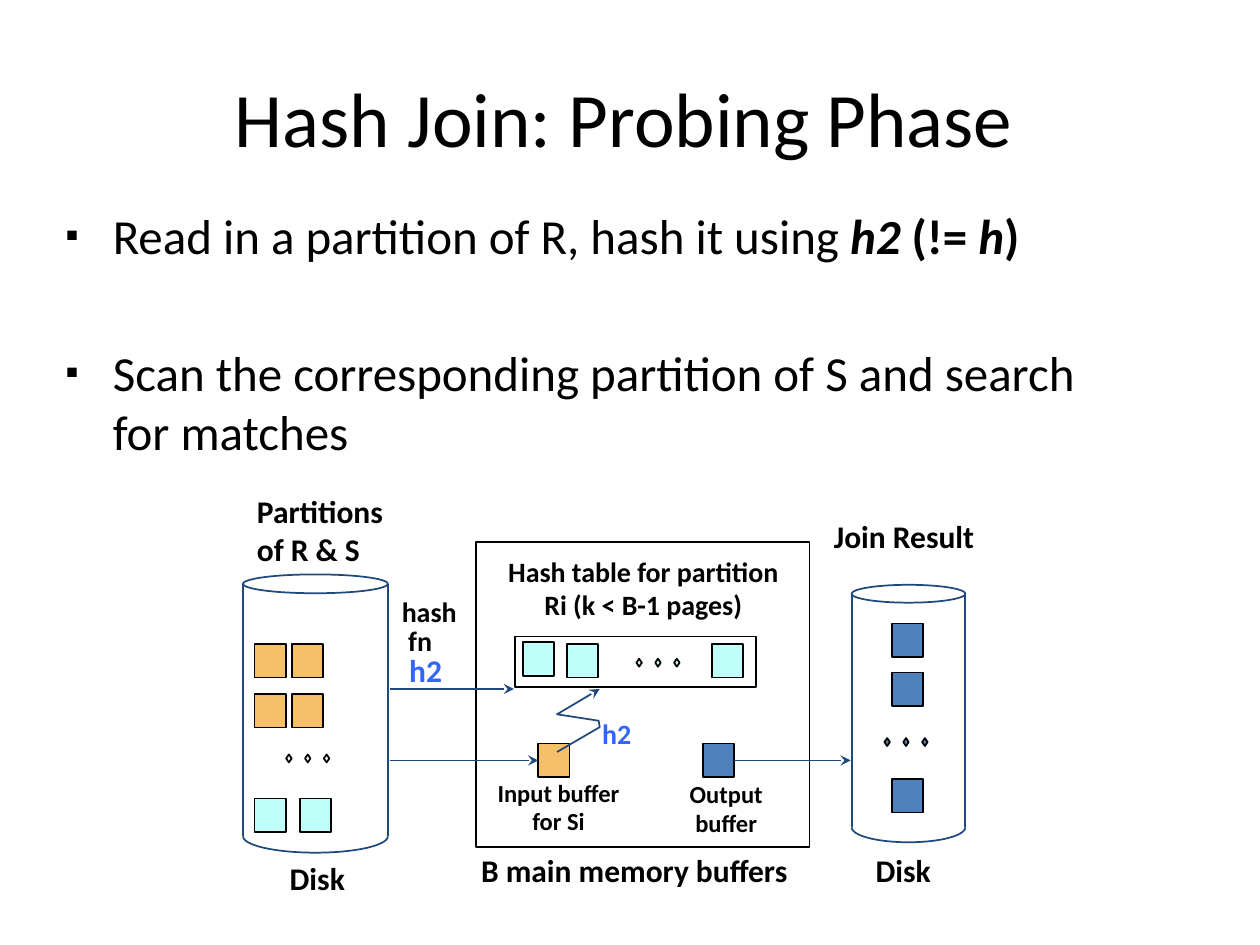
"""Build the slide on the probing phase of a hash join."""
from lxml.etree import SubElement
from pptx import Presentation
from pptx.dml.color import RGBColor
from pptx.enum.shapes import MSO_CONNECTOR as Link, MSO_SHAPE as Shape
from pptx.enum.text import MSO_ANCHOR as Anchor, MSO_AUTO_SIZE as Fit, PP_ALIGN as Align
from pptx.oxml.ns import qn
from pptx.util import Cm, Pt

FONT = "Calibri"
BLACK = RGBColor(0x00, 0x00, 0x00)
ORANGE = RGBColor(0xF6, 0xBF, 0x69)
CYAN = RGBColor(0xC0, 0xFE, 0xF9)
BLUE = RGBColor(0x4F, 0x81, 0xBD)
NAVY = RGBColor(0x1F, 0x49, 0x7D)
BRIGHT = RGBColor(0x33, 0x65, 0xFB)

deck = Presentation()
deck.slide_width, deck.slide_height = Cm(25.4), Cm(19.05)
page = deck.slides.add_slide(deck.slide_layouts[1])


def add_span(para, text, size, color=BLACK, bold=False, italic=False):
    span = para.add_run()
    span.text = text
    span.font.name, span.font.size = FONT, Pt(size)
    span.font.bold, span.font.italic = bold, italic
    span.font.color.rgb = color


def add_box(kind, left, top, width, height, fill=None, line=BLACK):
    box = page.shapes.add_shape(kind, Cm(left), Cm(top), Cm(width), Cm(height))
    box.shadow.inherit = False
    if fill is None:
        box.fill.background()
    else:
        box.fill.solid()
        box.fill.fore_color.rgb = fill
    box.line.color.rgb, box.line.width = line, Pt(1)
    return box


title = page.shapes.title
title.left, title.top, title.width, title.height = Cm(0.2), Cm(0.76), Cm(24.77), Cm(3.18)
title.text_frame.vertical_anchor = Anchor.MIDDLE
title.text_frame.paragraphs[0].alignment = Align.CENTER
add_span(title.text_frame.paragraphs[0], "Hash Join: Probing Phase", 44)

body = page.placeholders[1]
body.left, body.top, body.width, body.height = Cm(1.07), Cm(4.01), Cm(23.5), Cm(13.77)
body.text_frame.auto_size = Fit.NONE
read_step = body.text_frame.paragraphs[0]
scan_step = body.text_frame.add_paragraph()
for para, gap in ((read_step, 0), (scan_step, 45)):
    props = para._p.get_or_add_pPr()
    props.set("marL", str(Cm(0.95)))
    props.set("indent", str(-Cm(0.95)))
    SubElement(SubElement(props, qn("a:buClr")), qn("a:srgbClr"), val=str(BLACK))
    SubElement(props, qn("a:buSzPct"), val="75000")
    SubElement(props, qn("a:buFont"), typeface=FONT)
    SubElement(props, qn("a:buChar"), char="▪")
    para.space_before = Pt(gap)
add_span(read_step, "Read in a partition of R, hash it using ", 28)
for text, italic in (("h2", True), (" (!= ", False), ("h", True), (")", False)):
    add_span(read_step, text, 28, bold=True, italic=italic)
add_span(scan_step, "Scan the corresponding partition of S and search ", 28)
scan_step.add_line_break()
add_span(scan_step, "for matches", 28)

add_box(Shape.RECTANGLE, 9.6, 10.92, 6.72, 6.15)
add_box(Shape.RECTANGLE, 10.39, 12.83, 4.85, 1.02)

pages = [(left, top, ORANGE) for top in (12.98, 13.99) for left in (5.13, 5.88)]
pages += [(5.13, 16.1, CYAN), (6.05, 16.1, CYAN)]
pages += [(10.54, 12.95, CYAN), (11.43, 12.98, CYAN), (14.35, 12.98, CYAN)]
pages += [(17.98, top, BLUE) for top in (12.57, 13.56, 15.7)]
for left, top, fill in pages:
    add_box(Shape.RECTANGLE, left, top, 0.63, 0.68, fill)
input_buffer = add_box(Shape.RECTANGLE, 10.85, 14.99, 0.63, 0.68, ORANGE)
output_buffer = add_box(Shape.RECTANGLE, 14.17, 14.99, 0.63, 0.68, BLUE)

for left, top, fill in ((5.77, 15.21, None), (12.83, 13.28, CYAN), (17.83, 14.88, BLUE)):
    for step in range(3):
        add_box(Shape.DIAMOND, left + 0.38 * step, top, 0.11, 0.16, fill)

lines = []
for left, top, width, lid, bottom, depth in (
    (4.9, 11.58, 2.92, 0.38, 16.86, 0.33),
    (17.17, 11.79, 2.29, 0.36, 16.68, 0.3),
):
    add_box(Shape.OVAL, left, top, width, lid, line=NAVY)
    base = add_box(Shape.ARC, left, bottom - depth, width, 2 * depth, line=NAVY)
    base.adjustments[0], base.adjustments[1] = 0, 108
    for side in (left, left + width):
        lines.append((side, top + lid / 2, side, bottom, False))
lines += [
    (7.87, 13.89, 10.36, 13.89, True),
    (7.87, 15.33, 10.85, 15.33, True),
    (14.8, 15.33, 17.15, 15.33, True),
]

arrows = []
for start_x, start_y, end_x, end_y, pointed in lines:
    line = page.shapes.add_connector(
        Link.STRAIGHT, Cm(start_x), Cm(start_y), Cm(end_x), Cm(end_y)
    )
    line.line.color.rgb, line.line.width = NAVY, Pt(1)
    SubElement(line._element.spPr, qn("a:effectLst"))
    if pointed:
        arrows.append(line)
hash_arrow, input_arrow, output_arrow = arrows
input_arrow.end_connect(input_buffer, 1)
output_arrow.begin_connect(output_buffer, 3)

bends = [(12.09, 14.66), (12.07, 14.53), (11.23, 14.4), (12.09, 13.89)]
builder = page.shapes.build_freeform(Cm(11.23), Cm(15.16))
builder.add_line_segments([(Cm(x), Cm(y)) for x, y in bends], close=False)
probe = builder.convert_to_shape()
probe.shadow.inherit = False
probe.fill.background()
probe.line.color.rgb, probe.line.width = NAVY, Pt(1)
for arrow in (*arrows, probe):
    SubElement(arrow._element.spPr.find(qn("a:ln")), qn("a:tailEnd"), type="stealth")

for left, top, width, height, size, color, align, texts in (
    (4.93, 9.8, 3.18, 1.78, 18, BLACK, Align.LEFT, ("Partitions", "of R & S")),
    (9.7, 15.82, 3.12, 1.14, 14, BLACK, Align.CENTER, ("Input buffer", "for Si")),
    (9.86, 11.05, 6.22, 1.6, 16, BLACK, Align.CENTER,
     ("Hash table for partition", "Ri (k < B-1 pages)")),
    (13.56, 15.57, 2.16, 1.42, 14, BLACK, Align.CENTER, ("Output", "buffer")),
    (9.45, 17.04, 6.99, 1.02, 18, BLACK, Align.LEFT, ("B main memory buffers",)),
    (5.59, 17.2, 1.73, 1.02, 18, BLACK, Align.LEFT, ("Disk",)),
    (17.4, 17.04, 1.73, 1.02, 18, BLACK, Align.LEFT, ("Disk",)),
    (16.56, 10.29, 3.56, 1.02, 18, BLACK, Align.LEFT, ("Join Result",)),
    (7.85, 11.86, 1.63, 0.91, 16, BLACK, Align.LEFT, ("hash",)),
    (7.98, 12.45, 1.02, 0.91, 16, BLACK, Align.LEFT, ("fn",)),
    (8, 13, 1.17, 1.02, 18, BRIGHT, Align.LEFT, ("h2",)),
    (11.89, 14.33, 1.09, 0.91, 16, BRIGHT, Align.LEFT, ("h2",)),
):
    label = page.shapes.add_textbox(Cm(left), Cm(top), Cm(width), Cm(height))
    frame = label.text_frame
    frame.word_wrap, frame.auto_size = False, Fit.SHAPE_TO_FIT_TEXT
    for index, text in enumerate(texts):
        para = frame.add_paragraph() if index else frame.paragraphs[0]
        para.alignment = align
        if text == "Input buffer":
            para.line_spacing = 0.5
        add_span(para, text, size, color, bold=True)

deck.save("out.pptx")
